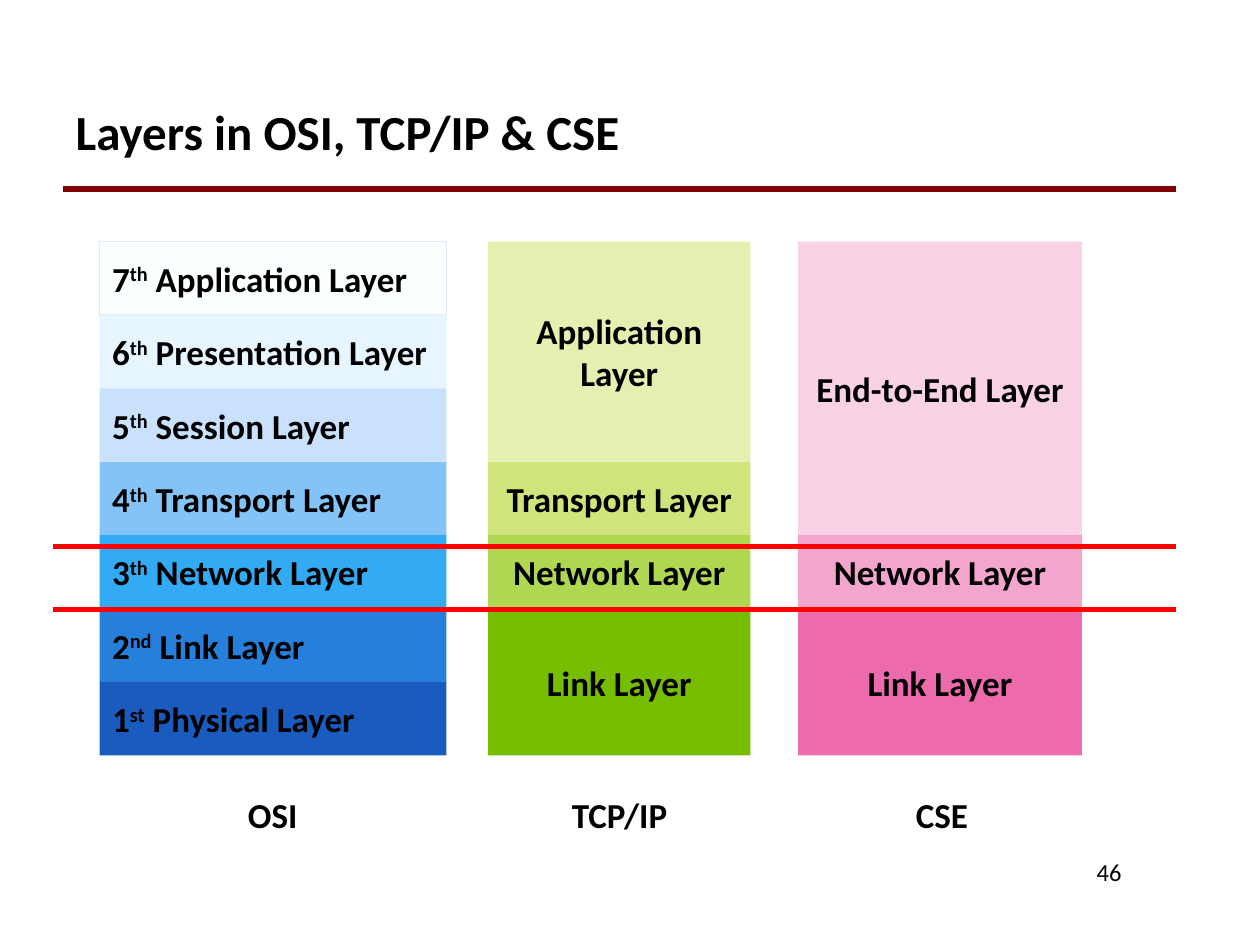
from lxml.etree import SubElement
from pptx import Presentation
from pptx.dml.color import RGBColor
from pptx.enum.shapes import MSO_CONNECTOR, MSO_SHAPE
from pptx.enum.text import MSO_ANCHOR as Anchor, MSO_AUTO_SIZE as AutoSize, PP_ALIGN as Align
from pptx.oxml.ns import qn
from pptx.util import Cm, Pt

FONT = "Calibri"
STACK_TOP, ROW = 4.87, 1.48
LABEL_TOP, LABEL_W, LABEL_H = 15.88, 5.72, 1.12
RIGHT = 23.71

# Layers from top to bottom: (rows spanned, text runs, fill); a run after "^" is raised
OSI = [
    (1, ["7", "^th", " Application Layer"], "FCFFFF"),
    (1, ["6", "^th", " Presentation Layer"], "E6F5FF"),
    (1, ["5", "^th", " Session Layer"], "C9E1FC"),
    (1, ["4", "^th", " Transport Layer"], "84C3F8"),
    (1, ["3", "^th", " Network Layer"], "32AAF4"),
    (1, ["2", "^nd", " Link Layer"], "257FDB"),
    (1, ["1", "^st", " Physical Layer"], "1A5BBF"),
]
TCP_IP = [
    (3, ["Application Layer"], "E4F0AF"),
    (1, ["Transport Layer"], "CFE47A"),
    (1, ["Network Layer"], "B0D751"),
    (2, ["Link Layer"], "77BD00"),
]
CSE = [
    (4, ["End-to-End Layer"], "F9D3E5"),
    (1, ["Network Layer"], "F3A5CD"),
    (2, ["Link Layer"], "ED6AAD"),
]
# Name, left, width, label left, alignment, layers
STACKS = [
    ("OSI", 2.01, 6.99, 2.64, Align.LEFT, OSI),
    ("TCP/IP", 9.84, 5.29, 9.63, Align.CENTER, TCP_IP),
    ("CSE", 16.09, 5.72, 16.13, Align.CENTER, CSE),
]


def rgb(value):
    return RGBColor.from_string(value)


def write(tf, runs, size, align, bold=True, anchor=Anchor.TOP):
    tf.word_wrap = True
    tf.vertical_anchor = anchor
    p = tf.paragraphs[0]
    p.alignment = align
    for text in runs:
        r = p.add_run()
        r.text = text.lstrip("^")
        r.font.name, r.font.size, r.font.bold = FONT, Pt(size), bold
        r.font.color.rgb = rgb("000000")
        if text.startswith("^"):
            r.font._element.set("baseline", "30000")


def add_text(slide, box, text, size, align, bold=True):
    sp = slide.shapes.add_textbox(*map(Cm, box))
    write(sp.text_frame, [text], size, align, bold)
    return sp


def add_line(slide, left, y, color):
    line = slide.shapes.add_connector(MSO_CONNECTOR.STRAIGHT, Cm(left), Cm(y), Cm(RIGHT), Cm(y))
    line.line.color.rgb = rgb(color)
    line.line.width = Pt(3)
    SubElement(line._element.spPr, qn("a:effectLst"))


def add_layer(slide, box, runs, fill, align):
    sp = slide.shapes.add_shape(MSO_SHAPE.RECTANGLE, *map(Cm, box))
    sp.shadow.inherit = False
    sp.fill.solid()
    sp.fill.fore_color.rgb = rgb(fill)
    sp.line.fill.background()
    write(sp.text_frame, runs, 20, align, anchor=Anchor.MIDDLE)
    return sp


def add_stack(slide, name, left, width, label_left, align, layers):
    row = 0
    shapes = []
    for span, runs, fill in layers:
        box = (left, STACK_TOP + row * ROW, width, span * ROW)
        shapes.append(add_layer(slide, box, runs, fill, align))
        row += span
    label = add_text(slide, (label_left, LABEL_TOP, LABEL_W, LABEL_H), name, 20, Align.CENTER)
    label.text_frame.auto_size = AutoSize.SHAPE_TO_FIT_TEXT
    return shapes


def add_title(slide, text):
    title = slide.shapes.title
    title.left, title.top, title.width, title.height = map(Cm, (1.27, 1.91, 22.44, 1.91))
    write(title.text_frame, [text], 28, Align.LEFT)


def main():
    prs = Presentation()
    prs.slide_width, prs.slide_height = Cm(25.4), Cm(19.05)
    slide = prs.slides.add_slide(prs.slide_layouts[5])

    # Heading and rule
    add_title(slide, "Layers in OSI, TCP/IP & CSE")
    add_line(slide, 1.27, 3.81, "800000")

    # Layer stacks; the near-white top OSI layer has an outline
    stacks = [add_stack(slide, *stack) for stack in STACKS]
    outline = stacks[0][0].line
    outline.color.rgb = rgb("E0E9F8")
    outline.width = Pt(0.75)

    # Lines around the network layer
    for y in (11.01, 12.28):
        add_line(slide, 1.06, y, "FF0000")

    # Page number
    add_text(slide, (19.25, 17.15, 3.61, 1.27), "46", 14, Align.RIGHT, bold=False)
    prs.save("out.pptx")


if __name__ == "__main__":
    main()
